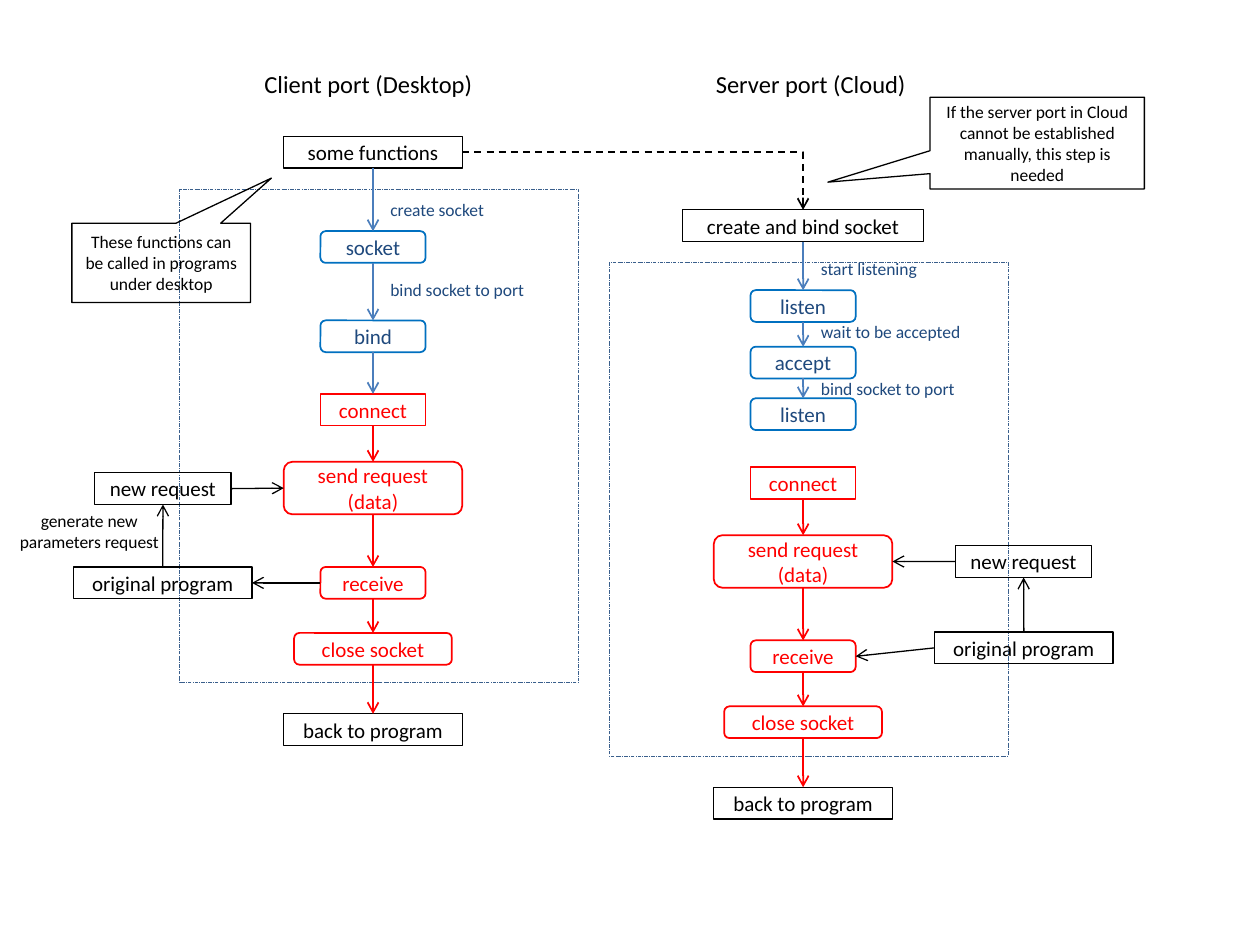
from lxml import etree
from pptx import Presentation
from pptx.dml.color import RGBColor
from pptx.enum.dml import MSO_LINE
from pptx.enum.shapes import MSO_CONNECTOR, MSO_SHAPE as SHAPE
from pptx.enum.text import MSO_ANCHOR, PP_ALIGN
from pptx.oxml.ns import qn
from pptx.util import Cm, Pt

BLACK = RGBColor(0x00, 0x00, 0x00)
RED = RGBColor(0xFF, 0x00, 0x00)
BLUE = RGBColor(0x00, 0x70, 0xC0)
NAVY = RGBColor(0x1F, 0x49, 0x7D)
ARROW_BLUE = RGBColor(0x4B, 0x7E, 0xBC)
FRAME_BLUE = RGBColor(0x3A, 0x5F, 0x8C)

# kind: preset, line colour, line width, text colour, text size, arrow colour
STYLES = {
    "program": (SHAPE.RECTANGLE, BLACK, 0.75, BLACK, 12, ARROW_BLUE),
    "setup": (SHAPE.ROUNDED_RECTANGLE, BLUE, 1, NAVY, 12, ARROW_BLUE),
    "connect": (SHAPE.RECTANGLE, RED, 1, RED, 12, RED),
    "transfer": (SHAPE.ROUNDED_RECTANGLE, RED, 1, RED, 12, RED),
    "callout": (SHAPE.RECTANGULAR_CALLOUT, BLACK, 0.75, BLACK, 10, None),
    "frame": (SHAPE.RECTANGLE, FRAME_BLUE, 0.25, BLACK, 12, None),
}
TOP, LEFT, BOTTOM, RIGHT = range(4)
SMALL, MEDIUM, WIDE, LOW = 2.12, 3.18, 3.6, 0.64

presentation = Presentation()
presentation.slide_width, presentation.slide_height = Cm(25.4), Cm(19.05)
slide = presentation.slides.add_slide(presentation.slide_layouts[6])


def add_text(text, left, top, width, height, kind=None, size=10, color=BLACK, align=PP_ALIGN.LEFT):
    """Add a plain text box, or a shape in one of the styles."""
    place = [Cm(value) for value in (left, top, width, height)]
    if kind:
        preset, line_color, line_width, color, size, _ = STYLES[kind]
        shape = slide.shapes.add_shape(preset, *place)
        shape.shadow.inherit = False
        shape.fill.background()
        shape.line.color.rgb = line_color
        shape.line.width = Pt(line_width)
        shape.text_frame.vertical_anchor = MSO_ANCHOR.MIDDLE
        align = PP_ALIGN.CENTER
    else:
        shape = slide.shapes.add_textbox(*place)
    shape.text_frame.word_wrap = True
    if text:
        paragraph = shape.text_frame.paragraphs[0]
        paragraph.alignment = align
        run = paragraph.add_run()
        run.text = text
        for name, value in {"name": "Calibri", "size": Pt(size)}.items():
            setattr(run.font, name, value)
        run.font.color.rgb = color
    return shape


def add_arrow(source, source_site, target, target_site, color=BLACK, width=0.75,
              kind=MSO_CONNECTOR.STRAIGHT):
    """Join two shapes with an open arrow."""
    connector = slide.shapes.add_connector(kind, 0, 0, 0, 0)
    connector.begin_connect(source, source_site)
    connector.end_connect(target, target_site)
    connector.line.color.rgb = color
    connector.line.width = Pt(width)
    line = connector.line._get_or_add_ln()
    etree.SubElement(line, qn("a:tailEnd"), type="arrow")
    etree.SubElement(connector._element.spPr, qn("a:effectLst"))
    return connector


# Dashed frames
for left, top in ((3.62, 3.81), (12.28, 5.29)):
    frame = add_text("", left, top, 8.04, 9.95, "frame")
    frame.line.dash_style = MSO_LINE.LONG_DASH_DOT

# Both flows end alike: text, kind, offset below "connect", width, height
ENDING = [
    ("connect", "connect", 0, SMALL, LOW),
    ("send request (data)", "transfer", 1.37, WIDE, 1.06),
    ("receive", "transfer", 3.49, SMALL, LOW),
    ("close socket", "transfer", 4.82, MEDIUM, LOW),
    ("back to program", "program", 6.45, WIDE, LOW),
]
CLIENT = [
    ("some functions", "program", 2.75, WIDE, LOW),
    ("socket", "setup", 4.66, SMALL, LOW),
    ("bind", "setup", 6.46, SMALL, LOW),
]
SERVER = [
    ("create and bind socket", "program", 4.23, 4.87, LOW),
    ("listen", "setup", 5.85, SMALL, LOW),
    ("accept", "setup", 6.99, SMALL, LOW),
    ("listen", "setup", 8.03, SMALL, LOW),
]

# Vertical flows; the server has no arrow into "connect"
flows = []
for center, start, connect_top, joined in ((7.52, CLIENT, 7.94, True), (16.19, SERVER, 9.42, False)):
    steps = start + [(text, kind, connect_top + offset, width, height)
                     for text, kind, offset, width, height in ENDING]
    boxes = [add_text(text, center - width / 2, top, width, height, kind)
             for text, kind, top, width, height in steps]
    for index, (source, target) in enumerate(zip(boxes, boxes[1:])):
        if joined or index != len(start) - 1:
            add_arrow(source, BOTTOM, target, TOP, STYLES[steps[index][1]][5], 1)
    flows.append(boxes)
client, server = flows

# Side programs
client_original = add_text("original program", 1.48, 11.43, WIDE, LOW, "program")
client_new = add_text("new request", 1.91, 9.53, 2.75, LOW, "program")
server_original = add_text("original program", 18.84, 12.74, WIDE, LOW, "program")
server_new = add_text("new request", 19.26, 11.0, 2.75, LOW, "program")
for ends in (
    (client[5], LEFT, client_original, RIGHT),
    (client_original, TOP, client_new, BOTTOM),
    (client_new, RIGHT, client[4], LEFT),
    (server_original, LEFT, server[6], RIGHT),
    (server_original, TOP, server_new, BOTTOM),
    (server_new, LEFT, server[5], RIGHT),
):
    add_arrow(*ends)

# Dashed link between the flows, with a single bend
link = add_arrow(client[0], RIGHT, server[0], TOP, BLACK, 1, MSO_CONNECTOR.ELBOW)
link.line.dash_style = MSO_LINE.DASH
link._element.spPr.find(qn("a:prstGeom")).set("prst", "bentConnector2")

# Titles and labels
for text, left, width in (("Client port (Desktop)", 5.08, 5.29), ("Server port (Cloud)", 14.18, 4.66)):
    add_text(text, left, 1.27, width, 0.86, size=14)
for text, left, top, width in (
    ("create socket", 7.62, 3.89, 2.54),
    ("bind socket to port", 7.62, 5.5, 3.39),
    ("start listening", 16.3, 5.08, 2.54),
    ("wait to be accepted", 16.3, 6.35, 3.81),
    ("bind socket to port", 16.3, 7.5, 3.39),
):
    add_text(text, left, top, width, 0.68, color=NAVY)
add_text("generate new parameters request", 0, 10.16, WIDE, 1.11, align=PP_ALIGN.CENTER)

# Callouts
for text, place, tip in (
    ("These functions can be called in programs under desktop", (1.45, 4.5, WIDE, 1.6), (0.617, -1.068)),
    ("If the server port in Cloud cannot be established manually, this step is needed",
     (18.75, 1.96, 4.32, 1.85), (-0.977, 0.426)),
):
    callout = add_text(text, *place, "callout")
    callout.adjustments[0], callout.adjustments[1] = tip

presentation.save("out.pptx")
